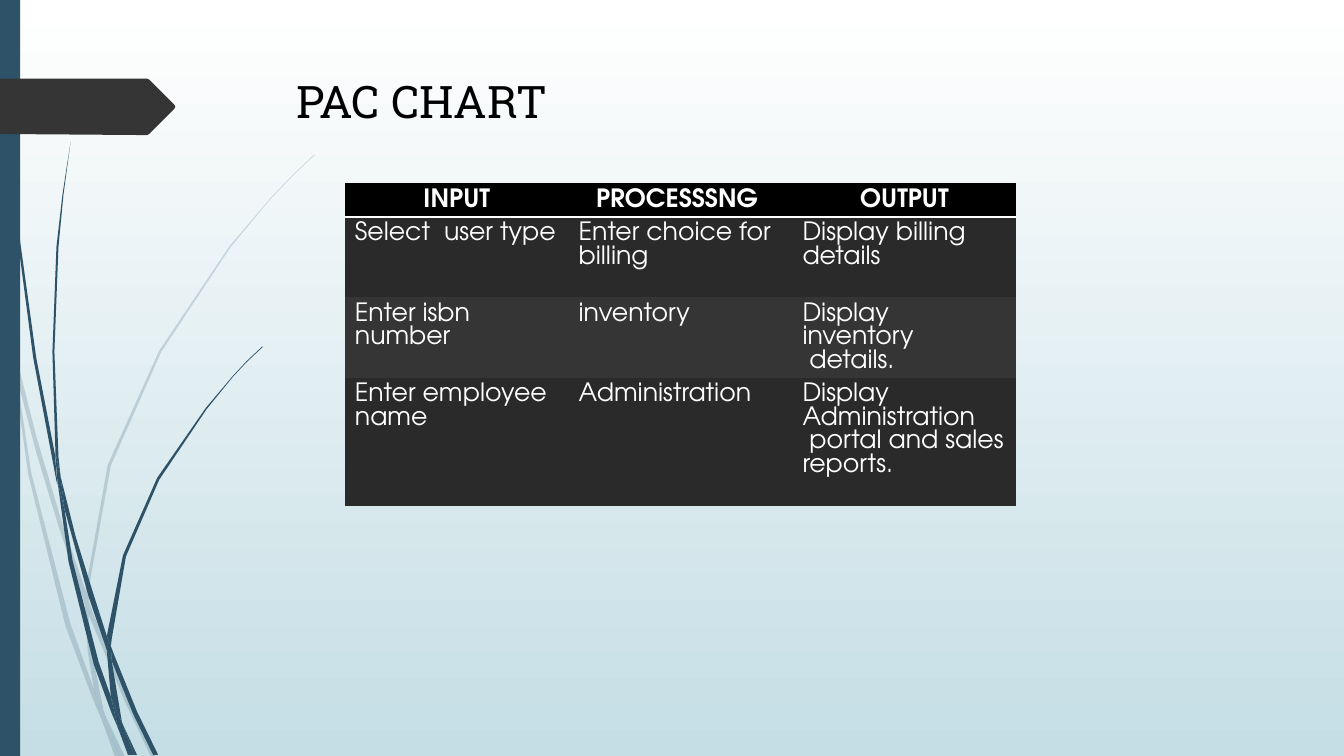
import lxml.etree
import pptx
import pptx.dml.color
import pptx.enum.shapes
import pptx.enum.text
import pptx.oxml.ns
import pptx.util

Cm = pptx.util.Cm
Pt = pptx.util.Pt
qn = pptx.oxml.ns.qn

COLORS = {
    "accent": "2E5369",
    "tab": "353535",
    "header": "000000",
    "odd_row": "2A2A2A",
    "even_row": "353535",
    "light": "FFFFFF",
    "dark": "000000",
    "sky": "C5DEE5",
}
TITLE_FONT = "Roboto Slab"
TABLE_FONT = "TeX Gyre Adventor"
NO_GRID_STYLE = "{2D5ABB26-0587-4C30-8999-92F81FD0307C}"
UNIT = 0.0254

PALE_BLADES = [
    "11,350 9,322 0,282 0,299 10,344",
    "58,522 84,599 85,586 62,520 36,433 14,345 17,376 36,449",
    "92,607 88,596 88,610 123,694 150,751 155,751 127,692",
    "119,751 124,751 105,711",
    "93,683 70,619 31,469 17,376 11,350 28,470 65,621 92,693 101,714 99,707",
    "84,599 87,646 93,683 96,692 105,711 103,706 91,646 88,610 88,608",
    "88,584 110,462 160,349 229,245 268,198 290,175 312,154 312,153 289,175 "
    "268,197 228,244 158,348 107,461 85,584 85,586 88,596",
    "101,714 114,751 119,751",
    "88,608 88,610 88,596 85,586 84,599",
    "96,692 93,683 99,707 101,714 119,751 105,711",
]
DARK_BLADES = [
    "7,110 17,233 33,355 56,477 57,481 55,457 55,453 36,355 19,232 8,109 5,48 4,0 3,0 4,48",
    "88,592 106,645 106,633 106,631 93,590 75,532 60,472 64,505",
    "113,649 110,641 111,656 132,708 152,749 157,749 136,706",
    "110,691 98,657 72,556 64,505 57,477 68,557 93,659 111,708 117,722 116,717",
    "60,472 58,453 54,349 58,245 63,193 70,141 62,193 56,245 52,349 55,449",
    "133,749 136,749 122,719",
    "57,477 64,505 60,472 55,449 55,453",
    "111,633 125,552 158,476 205,406 231,374 245,359 261,344 260,344 245,358 "
    "231,373 204,405 156,474 122,551 106,631 110,641",
    "117,722 127,749 131,749",
    "106,645 110,691 116,706 122,719 121,716 111,656 109,651",
    "106,645 109,651 111,656 110,641 106,631 106,633",
    "116,706 110,691 116,717 117,722 130,749 133,749 122,719",
]
TAB = "0,78 146,78 148,79 173,104 174,106 173,108 148,133 146,134 136,134 0,133"

TABLE_ROWS = [
    ["INPUT", "PROCESSSNG ", "OUTPUT"],
    ["Select  user type", "Enter choice for billing", "Display billing details"],
    ["Enter isbn number", "inventory", "Display inventory\n details."],
    ["Enter employee name", "Administration", "Display Administration\n portal and sales reports."],
]
ROW_HEIGHTS = [0.84, 2.03, 2.03, 3.23]
COLUMN_WIDTH = 5.64


def rgb(name):
    return pptx.dml.color.RGBColor.from_string(COLORS[name])


def write_text(frame, text, *, font, size, color, bold=False, align=pptx.enum.text.PP_ALIGN.LEFT):
    frame.text = text
    frame.word_wrap = True
    for paragraph in frame.paragraphs:
        paragraph.alignment = align
        for run in paragraph.runs:
            run.font.name = font
            run.font.size = Pt(size)
            run.font.bold = bold
            run.font.color.rgb = rgb(color)


def paint(shape, color, opacity=100):
    shape.shadow.inherit = False
    shape.line.fill.background()
    shape.fill.solid()
    shape.fill.fore_color.rgb = rgb(color)
    if opacity < 100:
        color_element = shape._element.spPr.find(".//" + qn("a:srgbClr"))
        lxml.etree.SubElement(color_element, qn("a:alpha"), val=str(opacity * 1000))


def add_outline(shapes, outline, color, opacity=100):
    points = [tuple(Cm(int(value) * UNIT) for value in pair.split(",")) for pair in outline.split()]
    builder = shapes.build_freeform(*points[0])
    builder.add_line_segments(points[1:], close=True)
    paint(builder.convert_to_shape(), color, opacity)


def add_blades(slide, blades, opacity):
    group = slide.shapes.add_group_shape()
    for blade in blades:
        add_outline(group.shapes, blade, "accent", opacity)


def set_background(slide):
    fill = slide.background.fill
    fill.gradient()
    fill.gradient_angle = 270
    for stop, color in zip(fill.gradient_stops, ("light", "sky")):
        stop.color.rgb = rgb(color)


def add_bottom_border(cell, color, width):
    line = lxml.etree.Element(qn("a:lnB"), w=str(Pt(width)))
    fill = lxml.etree.SubElement(line, qn("a:solidFill"))
    lxml.etree.SubElement(fill, qn("a:srgbClr"), val=COLORS[color])
    cell._tc.get_or_add_tcPr().insert(0, line)


def add_pac_table(slide):
    column_count = len(TABLE_ROWS[0])
    table = slide.shapes.add_table(
        len(TABLE_ROWS), column_count, Cm(8.69), Cm(4.62),
        Cm(COLUMN_WIDTH * column_count), Cm(sum(ROW_HEIGHTS))).table
    table._tbl.tblPr.find(qn("a:tableStyleId")).text = NO_GRID_STYLE
    for column in table.columns:
        column.width = Cm(COLUMN_WIDTH)
    for index, (texts, height) in enumerate(zip(TABLE_ROWS, ROW_HEIGHTS)):
        table.rows[index].height = Cm(height)
        header = index == 0
        background = "header" if header else ("odd_row" if index % 2 else "even_row")
        align = pptx.enum.text.PP_ALIGN.CENTER if header else pptx.enum.text.PP_ALIGN.LEFT
        for cell, text in zip(table.rows[index].cells, texts):
            cell.fill.solid()
            cell.fill.fore_color.rgb = rgb(background)
            write_text(cell.text_frame, text, font=TABLE_FONT, size=18, color="light", bold=header, align=align)
            if header:
                add_bottom_border(cell, "light", 2)


def set_title(slide, text):
    title = slide.shapes.title
    title.left, title.top, title.width, title.height = Cm(7.21), Cm(1.73), Cm(24.77), Cm(3.56)
    title.text_frame.vertical_anchor = pptx.enum.text.MSO_ANCHOR.TOP
    write_text(title.text_frame, text, font=TITLE_FONT, size=32, color="dark")


def main():
    presentation = pptx.Presentation()
    presentation.slide_width, presentation.slide_height = Cm(33.87), Cm(19.05)
    slide = presentation.slides.add_slide(presentation.slide_layouts[5])
    set_background(slide)
    add_blades(slide, PALE_BLADES, 20)
    add_blades(slide, DARK_BLADES, 100)
    side_bar = slide.shapes.add_shape(
        pptx.enum.shapes.MSO_SHAPE.RECTANGLE, 0, 0, Cm(0.51), presentation.slide_height)
    paint(side_bar, "accent")
    add_outline(slide.shapes, TAB, "tab")
    set_title(slide, "PAC CHART")
    add_pac_table(slide)
    presentation.save("out.pptx")


if __name__ == "__main__":
    main()
